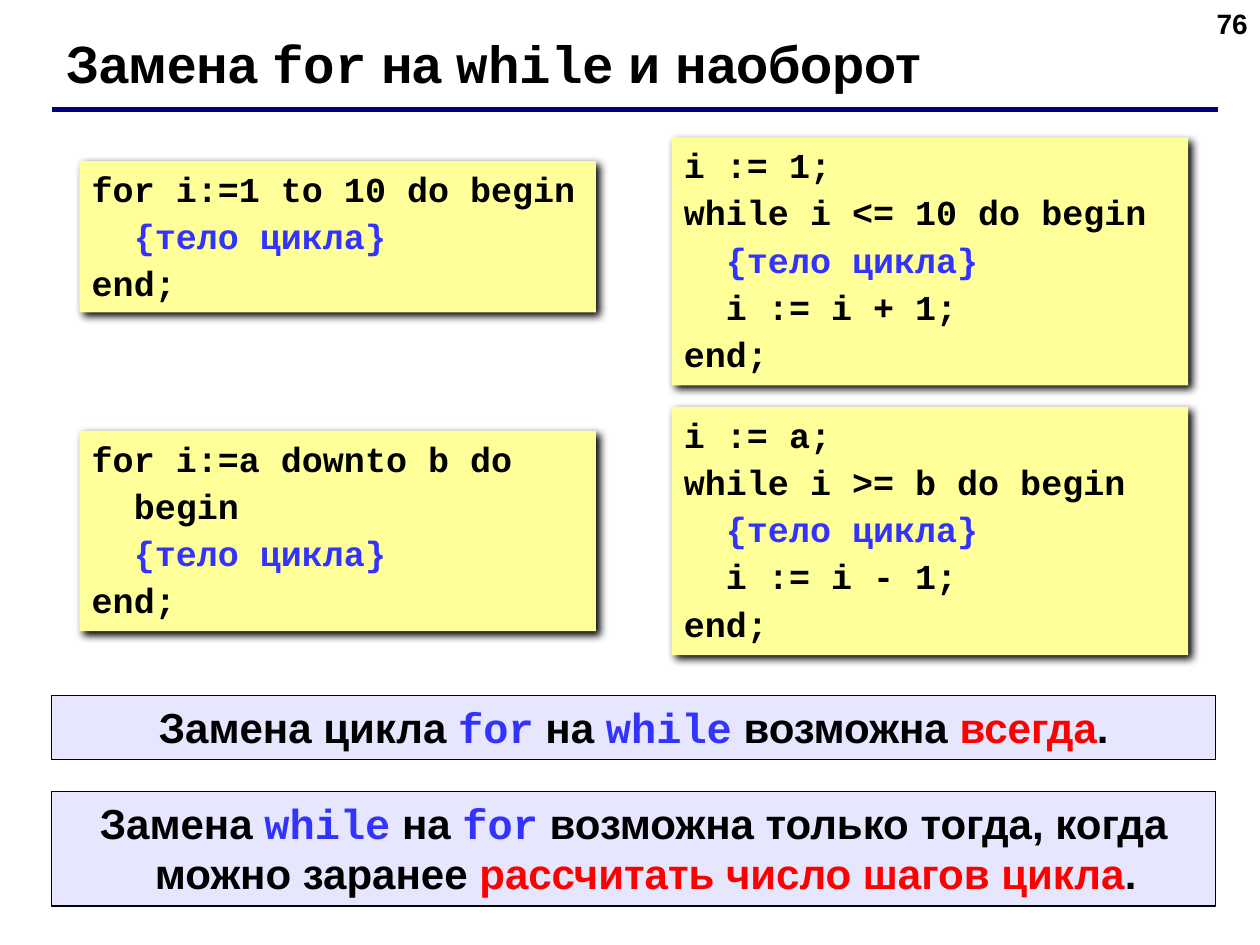
import pptx
import pptx.util
import pptx.dml.color
import pptx.enum.shapes
import pptx.enum.text
import pptx.oxml
import pptx.oxml.ns
from pptx.util import Inches

RGBColor = pptx.dml.color.RGBColor
BLACK = RGBColor(0x00, 0x00, 0x00)
NAVY = RGBColor(0x00, 0x00, 0x80)
BLUE = RGBColor(0x33, 0x33, 0xFF)
RED = RGBColor(0xFF, 0x00, 0x00)
YELLOW = RGBColor(0xFF, 0xFF, 0x99)
LAVENDER = RGBColor(0xE6, 0xE6, 0xFF)

SANS = "Arial"
MONO = "Courier New"
ALIGN = pptx.enum.text.PP_ALIGN
LOOP_BODY = ("  {тело цикла}", MONO, BLUE)

SHADOW = (
    f'<a:effectLst {pptx.oxml.ns.nsdecls("a")}>'
    '<a:outerShdw blurRad="63500" dist="35560" dir="2700000" algn="ctr" rotWithShape="0">'
    '<a:srgbClr val="000000"/></a:outerShdw></a:effectLst>'
)


def write_text(frame, paragraphs, size, align=ALIGN.LEFT, gap=0, hanging=0):
    """Fill a frame; each paragraph is a list of (text, font, colour) spans."""
    frame.word_wrap = True
    frame.vertical_anchor = pptx.enum.text.MSO_ANCHOR.TOP
    frame.margin_left = frame.margin_right = Inches(0.1)
    frame.margin_top = frame.margin_bottom = Inches(0.05)
    for index, spans in enumerate(paragraphs):
        para = frame.add_paragraph() if index else frame.paragraphs[0]
        para.alignment = align
        if index and gap:
            para.space_before = pptx.util.Pt(gap)
        if hanging:
            properties = para._p.get_or_add_pPr()
            properties.set("marL", str(Inches(hanging)))
            properties.set("indent", str(-Inches(hanging)))
        for text, font, color in spans:
            span = para.add_run()
            span.text = text
            span.font.name = font
            span.font.size = pptx.util.Pt(size)
            span.font.bold = True
            span.font.color.rgb = color


def add_label(page, left, top, width, height, spans, size, align=ALIGN.LEFT):
    box = page.shapes.add_textbox(Inches(left), Inches(top), Inches(width), Inches(height))
    write_text(box.text_frame, [spans], size, align)


def add_panel(page, left, top, width, height, fill):
    panel = page.shapes.add_shape(
        pptx.enum.shapes.MSO_SHAPE.RECTANGLE,
        Inches(left), Inches(top), Inches(width), Inches(height))
    panel.shadow.inherit = False
    panel.fill.solid()
    panel.fill.fore_color.rgb = fill
    return panel


def add_code(page, left, top, height, lines):
    panel = add_panel(page, left, top, 4.1, height, YELLOW)
    panel.line.fill.background()
    properties = panel._element.spPr
    properties.replace(properties.find(pptx.oxml.ns.qn("a:effectLst")),
                       pptx.oxml.parse_xml(SHADOW))
    paragraphs = [[line if line is LOOP_BODY else (line, MONO, BLACK)] for line in lines]
    write_text(panel.text_frame, paragraphs, 20, gap=3)


def add_banner(page, top, height, spans):
    panel = add_panel(page, 0.41, top, 9.24, height, LAVENDER)
    panel.line.color.rgb = BLACK
    panel.line.width = pptx.util.Pt(0.75)
    write_text(panel.text_frame, [spans], 24, ALIGN.CENTER, hanging=0.19)


def add_rule(page, left, right, y):
    rule = page.shapes.add_connector(
        pptx.enum.shapes.MSO_CONNECTOR.STRAIGHT,
        Inches(left), Inches(y), Inches(right), Inches(y))
    rule.line.color.rgb = NAVY
    rule.line.width = pptx.util.Pt(3)
    rule._element.spPr.append(pptx.oxml.parse_xml(
        f'<a:effectLst {pptx.oxml.ns.nsdecls("a")}/>'))


def main():
    deck = pptx.Presentation()
    deck.slide_width, deck.slide_height = Inches(10), Inches(7.5)
    page = deck.slides.add_slide(deck.slide_layouts[6])

    # Header
    add_label(page, 7.67, 0, 2.33, 0.52, [("76", SANS, BLACK)], 16, ALIGN.RIGHT)
    add_rule(page, 0.41, 9.67, 0.87)
    add_label(page, 0.43, 0.2, 8.9, 0.6, [
        ("Замена ", SANS, BLACK), ("for", MONO, BLACK), (" на ", SANS, BLACK),
        ("while", MONO, BLACK), (" и наоборот", SANS, BLACK)], 30)

    # Loops: for on the left, the matching while on the right
    add_code(page, 0.63, 1.28, 1.2, ["for i:=1 to 10 do begin", LOOP_BODY, "end;"])
    add_code(page, 5.33, 1.09, 1.97, [
        "i := 1;", "while i <= 10 do begin", LOOP_BODY, "  i := i + 1;", "end;"])
    add_code(page, 0.63, 3.42, 1.59, [
        "for i:=a downto b do", "  begin", LOOP_BODY, "end;"])
    add_code(page, 5.33, 3.23, 1.97, [
        "i := a;", "while i >= b do begin", LOOP_BODY, "  i := i - 1;", "end;"])

    # Conclusions
    add_banner(page, 6.28, 0.91, [
        ("Замена ", SANS, BLACK), ("while", MONO, BLUE), (" на ", SANS, BLACK),
        ("for", MONO, BLUE),
        (" возможна только тогда, когда можно заранее ", SANS, BLACK),
        ("рассчитать число шагов цикла", SANS, RED), (".", SANS, BLACK)])
    add_banner(page, 5.52, 0.51, [
        ("Замена цикла ", SANS, BLACK), ("for", MONO, BLUE), (" на ", SANS, BLACK),
        ("while", MONO, BLUE), (" возможна ", SANS, BLACK),
        ("всегда", SANS, RED), (".", SANS, BLACK)])

    deck.save("out.pptx")


if __name__ == "__main__":
    main()
